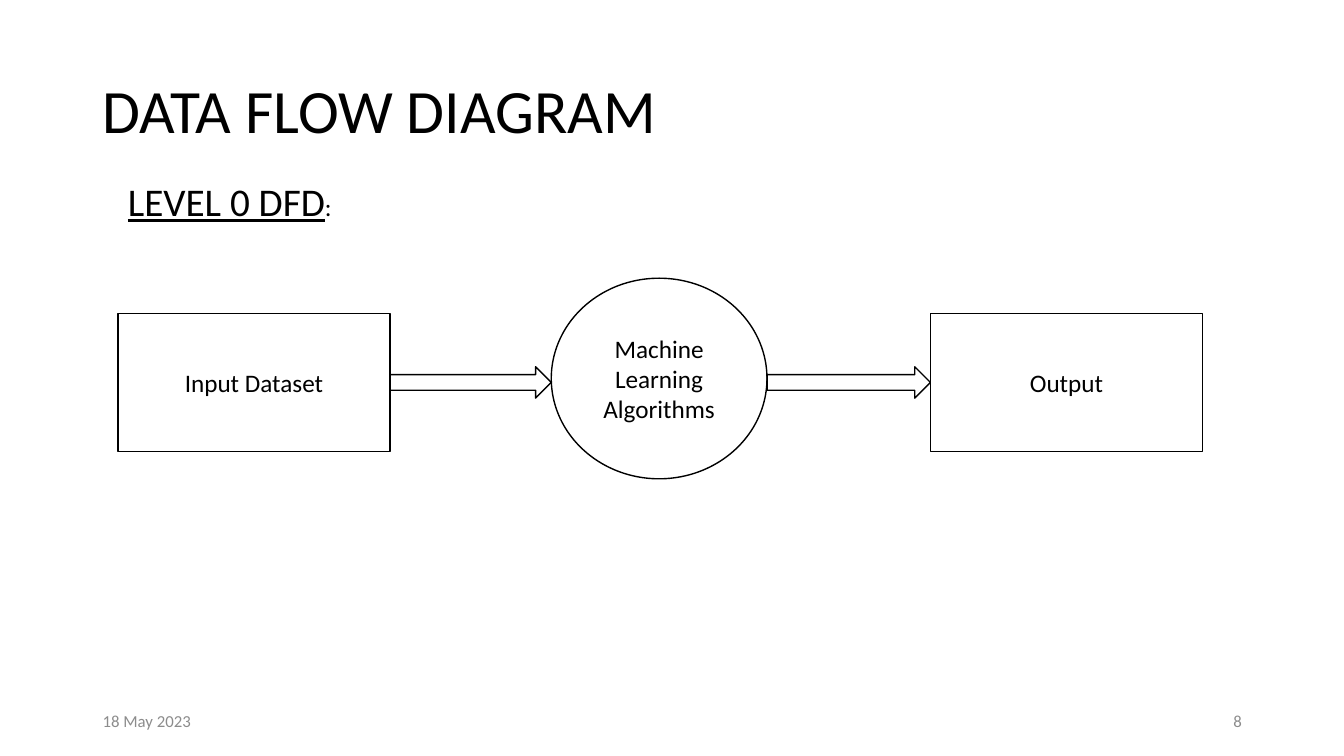
"""Build the level 0 data flow diagram slide."""
from dataclasses import dataclass
from itertools import pairwise

from pptx import Presentation
from pptx.dml.color import RGBColor
from pptx.enum.shapes import MSO_SHAPE
from pptx.enum.text import MSO_ANCHOR, PP_ALIGN
from pptx.shapes.autoshape import Shape
from pptx.slide import Slide
from pptx.text.text import Font
from pptx.util import Pt

RECTANGLE, ELLIPSE, ARROW = MSO_SHAPE.RECTANGLE, MSO_SHAPE.OVAL, MSO_SHAPE.RIGHT_ARROW
TOP, MIDDLE = MSO_ANCHOR.TOP, MSO_ANCHOR.MIDDLE
LEFT, CENTER, RIGHT = PP_ALIGN.LEFT, PP_ALIGN.CENTER, PP_ALIGN.RIGHT
COLORS = {"ink": "000000", "paper": "FFFFFF", "footer": "8C8C8C"}
FONT_NAME = "Calibri"
BODY_SIZE = 18
ARROW_TOP, ARROW_HEIGHT = 262, 22.4


@dataclass(frozen=True)
class Box:
    left: float
    top: float
    width: float
    height: float

    @property
    def right(self) -> float:
        return self.left + self.width


@dataclass(frozen=True)
class Node:
    label: str
    outline: MSO_SHAPE
    box: Box


@dataclass(frozen=True)
class Caption:
    text: str
    box: Box
    size: float
    color: str = "ink"
    align: PP_ALIGN = LEFT
    anchor: MSO_ANCHOR = MIDDLE
    line_spacing: float = 1.0


NODES = [
    Node("Input Dataset", RECTANGLE, Box(84.25, 224, 194.4, 98.6)),
    Node("Machine Learning Algorithms", ELLIPSE, Box(393.8, 198.7, 154.1, 143.3)),
    Node("Output", RECTANGLE, Box(664.6, 224, 194.4, 98.6)),
]
TITLE = Caption("DATA FLOW DIAGRAM", Box(66.25, 28.8, 828, 104.4), 44, line_spacing=0.9)
LEVEL = Caption("LEVEL 0 DFD", Box(84.25, 123.1, 309.6, 41), 28, anchor=TOP)
DATE = Caption("18 May 2023", Box(66.25, 500.4, 216, 28.8), 12, "footer")
PAGE = Caption("8", Box(678.25, 500.4, 216, 28.8), 12, "footer", RIGHT)


def style_font(font: Font, size: float, color: str) -> None:
    font.name = FONT_NAME
    font.size = Pt(size)
    font.color.rgb = RGBColor.from_string(COLORS[color])


def add_outlined(slide: Slide, outline: MSO_SHAPE, box: Box) -> Shape:
    shape = slide.shapes.add_shape(
        outline, Pt(box.left), Pt(box.top), Pt(box.width), Pt(box.height))
    shape.shadow.inherit = False
    shape.fill.solid()
    shape.fill.fore_color.rgb = RGBColor.from_string(COLORS["paper"])
    shape.line.color.rgb = RGBColor.from_string(COLORS["ink"])
    shape.line.width = Pt(1)
    return shape


def add_node(slide: Slide, node: Node) -> None:
    frame = add_outlined(slide, node.outline, node.box).text_frame
    frame.word_wrap = True
    frame.vertical_anchor = MIDDLE
    label = frame.paragraphs[0]
    label.text = node.label
    label.alignment = CENTER
    style_font(label.font, BODY_SIZE, "ink")


def add_flow(slide: Slide, source: Node, target: Node) -> None:
    start, end = source.box.right, target.box.left
    add_outlined(slide, ARROW, Box(start, ARROW_TOP, end - start, ARROW_HEIGHT))


def add_caption(slide: Slide, caption: Caption) -> Shape:
    box = caption.box
    textbox = slide.shapes.add_textbox(
        Pt(box.left), Pt(box.top), Pt(box.width), Pt(box.height))
    frame = textbox.text_frame
    frame.word_wrap = True
    frame.vertical_anchor = caption.anchor
    line = frame.paragraphs[0]
    line.text = caption.text
    line.alignment = caption.align
    line.line_spacing = caption.line_spacing
    style_font(line.font, caption.size, caption.color)
    return textbox


def add_level_heading(slide: Slide) -> None:
    heading = add_caption(slide, LEVEL).text_frame.paragraphs[0]
    heading.runs[0].font.underline = True
    colon = heading.add_run()
    colon.text = ":"
    colon.font.size = Pt(BODY_SIZE)


def main() -> None:
    deck = Presentation()
    deck.slide_width, deck.slide_height = Pt(960), Pt(540)
    slide = deck.slides.add_slide(deck.slide_layouts[6])
    add_caption(slide, TITLE)
    add_level_heading(slide)
    for node in NODES:
        add_node(slide, node)
    for source, target in pairwise(NODES):
        add_flow(slide, source, target)
    for footer in (DATE, PAGE):
        add_caption(slide, footer)
    deck.save("out.pptx")


if __name__ == "__main__":
    main()
